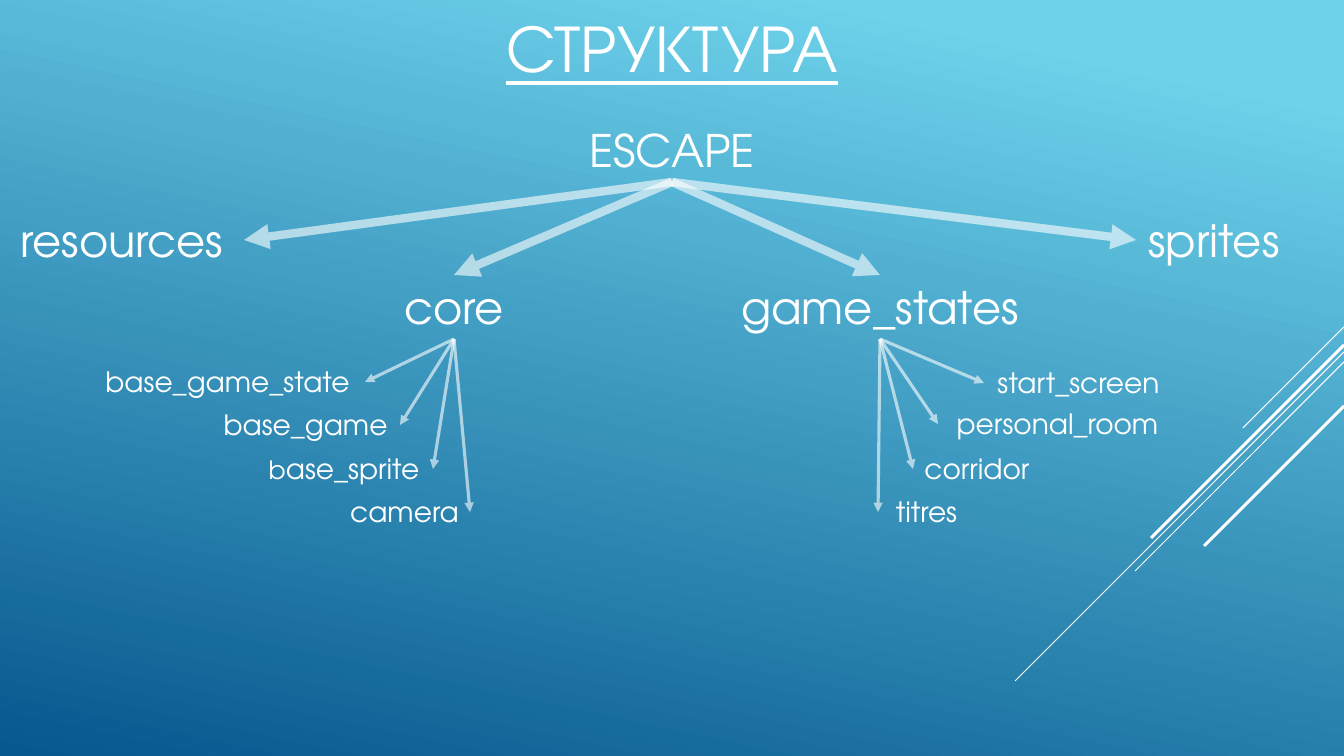
from lxml import etree
from pptx import Presentation, util as u
from pptx.dml.color import RGBColor
from pptx.enum import shapes, text
from pptx.oxml import ns

PX = 9525 * 96 / 100.8
FONT = "TeX Gyre Adventor"
WHITE = RGBColor(255, 255, 255)
SKY = RGBColor(0x6E, 0xD2, 0xEB)
NAVY = RGBColor(0x06, 0x58, 0x8E)

deck = Presentation()
deck.slide_width, deck.slide_height = u.Inches(13.333), u.Inches(7.5)
slide = deck.slides.add_slide(deck.slide_layouts[6])

fill = slide.background.fill
fill.gradient()
fill.gradient_angle = 360 - 102
for stop, place, color in zip(fill.gradient_stops, (0.1, 1), (SKY, NAVY)):
    stop.position = place
    stop.color.rgb = color


def label(words, x, y, w, h, size):
    """Add a centred white text box and return its paragraph."""
    box = slide.shapes.add_textbox(*(round(n * PX) for n in (x, y, w, h)))
    frame = box.text_frame
    frame.word_wrap = False
    frame.auto_size = text.MSO_AUTO_SIZE.SHAPE_TO_FIT_TEXT
    para = frame.paragraphs[0]
    para.text = words
    para.alignment = text.PP_ALIGN.CENTER
    para.font.name = FONT
    para.font.size = u.Pt(size)
    para.font.color.rgb = WHITE
    return para


def line(start, end, width, arrow=False):
    """Add a white line; an arrow is 60% opaque with a triangle tip."""
    link = slide.shapes.add_connector(
        shapes.MSO_CONNECTOR.STRAIGHT, *(round(n * PX) for n in start + end))
    link.line.width = u.Pt(width)
    link.line.color.rgb = WHITE
    props = link._element.spPr
    if arrow:
        tint = props.find(".//" + ns.qn("a:srgbClr"))
        etree.SubElement(tint, ns.qn("a:alpha"), val="60000")
        etree.SubElement(props.find(ns.qn("a:ln")), ns.qn("a:tailEnd"), type="triangle")
    etree.SubElement(props, ns.qn("a:effectLst"))


# Diagonal accents: all leave the right edge at 45 degrees
for top, run, width in [(327, 101, 0.75), (352, 329, 0.75), (362, 209, 0.75),
                        (345, 193, 2.25), (406, 140, 2.25)]:
    line((1344, top), (1344 - run, top + run), width)

title = label("СТРУКТУРА", 454, 0, 436, 92, 48)
title.font.underline = True

# Root and its folders; each arrow ends at the named side of a box
root = (672, 182)
label("ESCAPE", 559, 118, 226, 64, 32)
for name, x, y, w, side in [("resources", 0, 208, 244, "right"),
                            ("core", 370, 275, 168, "top"),
                            ("sprites", 1136, 208, 156, "left"),
                            ("game_states", 721, 275, 318, "top")]:
    label(name, x, y, w, 64, 32)
    tip = {"right": (x + w, y + 32), "top": (x + w // 2, y), "left": (x, y + 32)}
    line(root, tip[side], 6, arrow=True)

# Modules: core's sit left of their arrows, game_states' sit right
core = [("base_game_state", 90, 360, 275), ("base_game", 211, 403, 189),
        ("base_sprite", 255, 447, 178), ("camera", 339, 490, 131)]
states = [("start_screen", 984, 361, 189), ("personal_room", 938, 402, 239),
          ("corridor", 913, 447, 128), ("titres", 878, 490, 97)]
for hub, group, edge in [((454, 339), core, 1), ((880, 339), states, 0)]:
    for name, x, y, w in group:
        para = label(name, x, y, w, 44, 20)
        if name == "base_sprite":
            first = para.runs[0]
            first.text, first.font.size = name[0], u.Pt(18)
            para.add_run().text = name[1:]
        line(hub, (x + w * edge, y + 22), 2.25, arrow=True)

deck.save("out.pptx")
